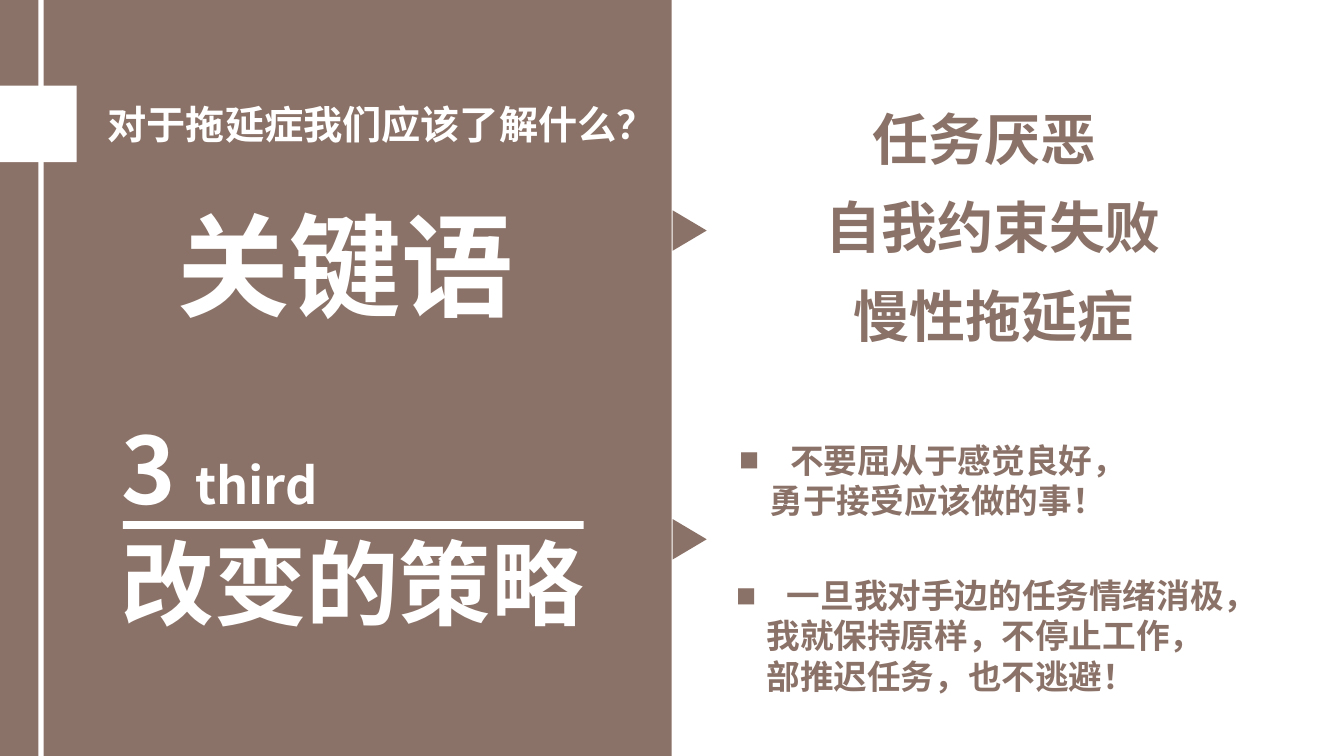
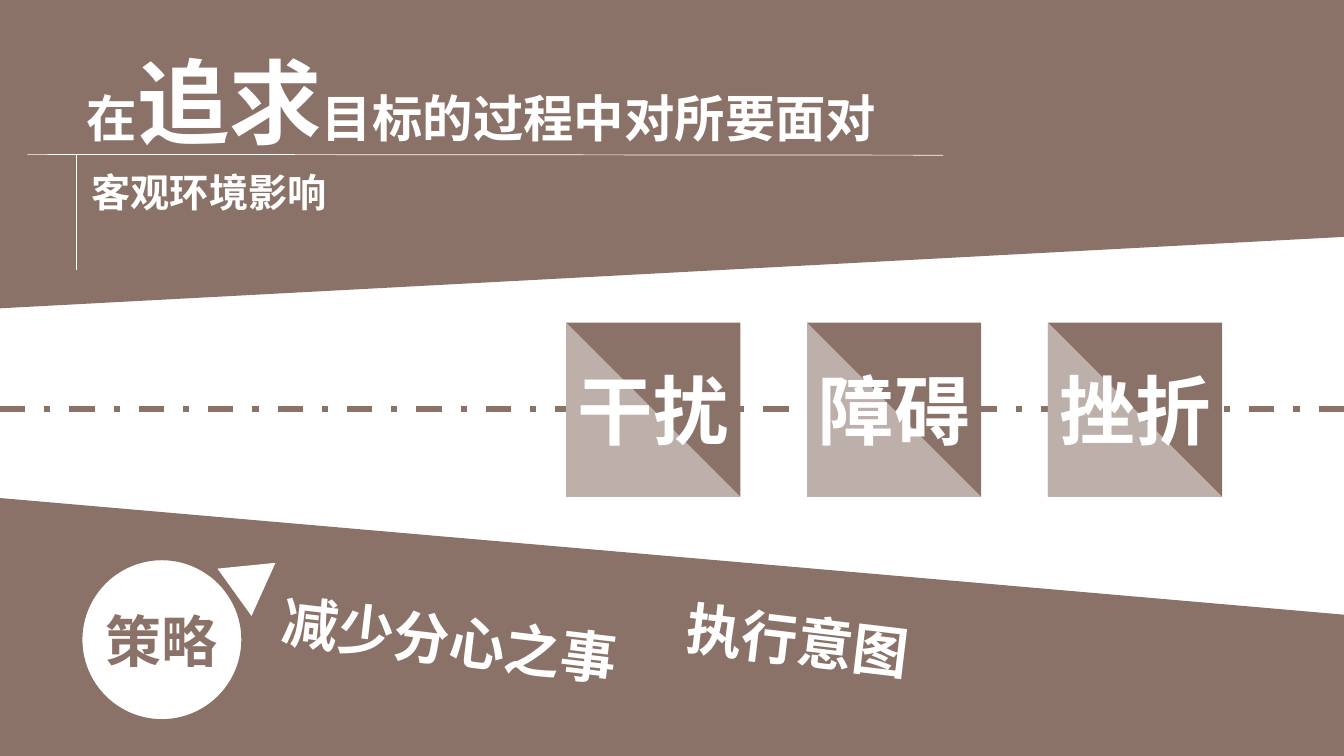
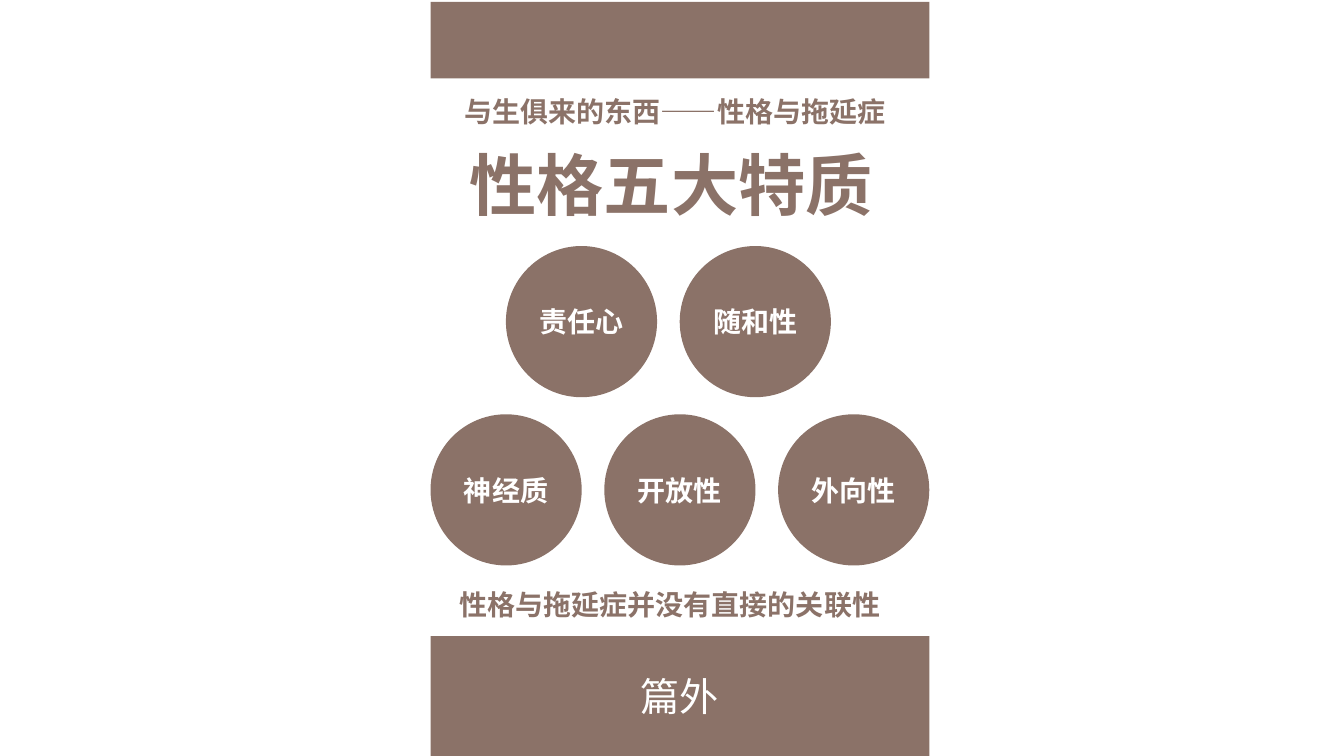
import pptx
import pptx.util
import pptx.dml.color
import pptx.enum.dml
import pptx.enum.shapes
import pptx.enum.text
import pptx.oxml.ns
from lxml import etree

Cm, Pt = pptx.util.Cm, pptx.util.Pt
SHAPE = pptx.enum.shapes.MSO_SHAPE
ALIGN = pptx.enum.text.PP_ALIGN
qn = pptx.oxml.ns.qn

# Shared look
FONT = "Noto Sans CJK SC"
BROWN, WHITE = "8B7268", "FFFFFF"
WIDTH, HEIGHT = 33.87, 19.05
TITLE_ONLY = 5


def rgb(value):
    return pptx.dml.color.RGBColor.from_string(value)


def lengths(*values):
    return [Cm(value) for value in values]


# Text
def format_run(run, size, color, bold):
    run.font.size = Pt(size)
    run.font.bold = bold
    run.font.name = FONT
    run.font.color.rgb = rgb(color)
    etree.SubElement(run._r.get_or_add_rPr(), qn("a:ea"), typeface=FONT)


def set_frame(frame, align):
    frame.word_wrap = False
    frame.auto_size = pptx.enum.text.MSO_AUTO_SIZE.NONE
    frame.vertical_anchor = pptx.enum.text.MSO_ANCHOR.MIDDLE
    for paragraph in frame.paragraphs:
        paragraph.alignment = align


def write(shape, text, size, color, align=ALIGN.LEFT, bold=True):
    shape.text_frame.text = text
    set_frame(shape.text_frame, align)
    for paragraph in shape.text_frame.paragraphs:
        for run in paragraph.runs:
            format_run(run, size, color, bold)
    return shape


def add_label(slide, text, box, size, color, align=ALIGN.LEFT, rotation=0):
    label = slide.shapes.add_textbox(*lengths(*box))
    label.rotation = rotation
    return write(label, text, size, color, align)


def place_title(slide, box):
    """Position the title placeholder and bring it above the shapes so far."""
    title = slide.shapes.title
    title.left, title.top, title.width, title.height = lengths(*box)
    title.element.getparent().append(title.element)
    return title


def add_advice(slide, lines, box, size=24):
    """One square-bulleted line followed by indented continuation lines."""
    advice = slide.shapes.add_textbox(*lengths(*box))
    advice.text_frame.text = "\n".join(lines)
    for number, paragraph in enumerate(advice.text_frame.paragraphs):
        properties = paragraph._p.get_or_add_pPr()
        if number == 0:
            properties.set("marL", str(Cm(1.27)))
            properties.set("indent", str(-Cm(1.27)))
            etree.SubElement(properties, qn("a:buSzPct"), val="60000")
            etree.SubElement(properties, qn("a:buFont"), typeface=FONT)
            etree.SubElement(properties, qn("a:buChar"), char="■")
        else:
            properties.set("marL", str(Cm(0.76)))
            properties.set("indent", "0")
        paragraph.line_spacing = Pt(size * 1.2)
        for run in paragraph.runs:
            format_run(run, size, BROWN, True)
    set_frame(advice.text_frame, ALIGN.LEFT)


# Shapes
def paint(shape, fill, line=None):
    shape.shadow.inherit = False
    shape.fill.solid()
    shape.fill.fore_color.rgb = rgb(fill)
    if line:
        shape.line.color.rgb = rgb(line)
        shape.line.width = Pt(1)
    else:
        shape.line.fill.background()
    return shape


def add_block(slide, kind, box, fill, line=None, rotation=0):
    block = slide.shapes.add_shape(kind, *lengths(*box))
    block.rotation = rotation
    return paint(block, fill, line)


def add_band(slide, corners):
    points = [lengths(*corner) for corner in corners]
    builder = slide.shapes.build_freeform(*points[0], scale=1.0)
    builder.add_line_segments(points[1:], close=True)
    return paint(builder.convert_to_shape(), BROWN)


def add_line(slide, start, end, color, width):
    line = slide.shapes.add_connector(
        pptx.enum.shapes.MSO_CONNECTOR.STRAIGHT, *lengths(*start, *end))
    line.line.color.rgb = rgb(color)
    line.line.width = Pt(width)
    etree.SubElement(line._element.spPr, qn("a:effectLst"))
    return line


def add_obstacle(slide, text, left, top, side):
    box = (left, top, side, side)
    add_block(slide, SHAPE.RECTANGLE, box, BROWN)
    sheen = add_block(slide, SHAPE.RIGHT_TRIANGLE, box, WHITE)
    tint = sheen._element.spPr.find(qn("a:solidFill"))[0]
    etree.SubElement(tint, qn("a:alpha"), val="44000")
    add_label(slide, text, box, 54, WHITE, ALIGN.CENTER)


# Slides
def build_key_terms(slide):
    add_block(slide, SHAPE.RECTANGLE, (0, 0, 16.93, HEIGHT), BROWN)
    add_block(slide, SHAPE.RECTANGLE, (0, 2.16, 1.93, 1.93), WHITE)
    add_block(slide, SHAPE.RECTANGLE, (0.97, 0, 0.13, HEIGHT), WHITE)
    for pointer_top in (5.38, 13.16):
        add_block(slide, SHAPE.ISOSCELES_TRIANGLE,
                  (16.87, pointer_top, 1.02, 0.86), BROWN, rotation=90)
    title = place_title(slide, (2.46, 2.39, 14.48, 1.45))
    write(title, "对于拖延症我们应该了解什么？", 28, WHITE)

    # Key terms
    add_label(slide, "关键语", (4.22, 4.8, 9.07, 3.68), 80, WHITE)
    terms = [("任务厌恶", 21.74, 6.22), ("自我约束失败", 20.55, 9.07),
             ("慢性拖延症", 21.26, 7.65)]
    for row, (term, left, width) in enumerate(terms):
        add_label(slide, term, (left, 2.51 + row * 2.22, width, 1.96), 40, BROWN)

    # Strategies for change
    add_label(slide, "改变的策略", (2.82, 13.13, 12.27, 3.07), 66, WHITE)
    add_label(slide, "3", (2.82, 10.26, 1.96, 3.07), 66, WHITE)
    add_block(slide, SHAPE.RECTANGLE, (3.1, 13.13, 11.61, 0.2), WHITE)
    add_label(slide, "third", (4.67, 11.3, 3.63, 1.8), 36, WHITE)
    add_advice(slide, ["不要屈从于感觉良好，", "勇于接受应该做的事！"],
               (18.39, 10.95, 10.34, 2.31))
    add_advice(slide, ["一旦我对手边的任务情绪消极，", "我就保持原样，不停止工作，",
                       "部推迟任务，也不逃避！"], (18.31, 14.35, 13.77, 3.33))


def build_obstacles(slide):
    road = add_line(slide, (0, 10.31), (WIDTH, 10.31), BROWN, 4.5)
    road.line.dash_style = pptx.enum.dml.MSO_LINE.DASH_DOT
    add_band(slide, [(0, 0), (WIDTH, 0), (WIDTH, 5.97), (0, 7.77)])
    add_band(slide, [(0, 12.55), (WIDTH, 15.49), (WIDTH, HEIGHT), (0, HEIGHT)])

    # Heading
    title = place_title(slide, (1.93, 0.99, 20.6, 3.07))
    heading = title.text_frame.paragraphs[0]
    for text, size in [("在", 36), ("追求", 66), ("目标的过程中对所要面对", 36)]:
        run = heading.add_run()
        run.text = text
        format_run(run, size, WHITE, True)
    set_frame(title.text_frame, ALIGN.LEFT)
    add_label(slide, "客观环境影响", (2.06, 4.11, 6.5, 1.45), 28, WHITE)
    add_line(slide, (0.69, 3.89), (23.77, 3.91), WHITE, 0.5)
    add_line(slide, (1.93, 3.89), (1.93, 6.81), WHITE, 0.5)

    # Obstacles on the road
    for column, obstacle in enumerate(["干扰", "障碍", "挫折"]):
        add_obstacle(slide, obstacle, 14.27 + column * 6.07, 8.13, 4.39)

    # Strategies
    for strategy, left, width in [("减少分心之事", 6.86, 9.07),
                                  ("执行意图", 17.04, 6.22)]:
        add_label(slide, strategy, (left, 15.14, width, 1.96), 40, WHITE,
                  rotation=6.8)
    hub = add_block(slide, SHAPE.OVAL, (2.06, 14.1, 4.04, 4.04), WHITE, BROWN)
    write(hub, "策略", 40, BROWN, ALIGN.CENTER)
    add_block(slide, SHAPE.ISOSCELES_TRIANGLE, (5.69, 13.92, 1.47, 1.27),
              WHITE, rotation=54.3)


def build_traits(slide):
    left, width = 10.85, 12.57
    add_block(slide, SHAPE.RECTANGLE, (left, 0.05, width, 1.93), BROWN)
    footer = add_block(slide, SHAPE.RECTANGLE, (left, 16.03, width, 3.02), BROWN)
    write(footer, "篇外", 28, WHITE, ALIGN.CENTER, bold=False)
    add_label(slide, "与生俱来的东西——性格与拖延症",
              (11.46, 2.24, 11.3, 1.12), 20, BROWN)
    title = place_title(slide, (11.58, 3.48, 10.77, 2.31))
    write(title, "性格五大特质", 48, BROWN)

    # Five traits in two rows
    diameter, pitch = 3.81, 4.38
    rows = [(12.75, 6.2, ["责任心", "随和性"]),
            (left, 10.44, ["神经质", "开放性", "外向性"])]
    for row_left, top, traits in rows:
        for column, trait in enumerate(traits):
            circle = add_block(
                slide, SHAPE.OVAL,
                (row_left + column * pitch, top, diameter, diameter), BROWN)
            write(circle, trait, 20, WHITE, ALIGN.CENTER)
    add_label(slide, "性格与拖延症并没有直接的关联性",
              (11.33, 14.68, 11.2, 1.12), 20, BROWN)


def main():
    deck = pptx.Presentation()
    deck.slide_width, deck.slide_height = lengths(WIDTH, HEIGHT)
    for build in (build_key_terms, build_obstacles, build_traits):
        build(deck.slides.add_slide(deck.slide_layouts[TITLE_ONLY]))
    deck.save("out.pptx")


if __name__ == "__main__":
    main()
